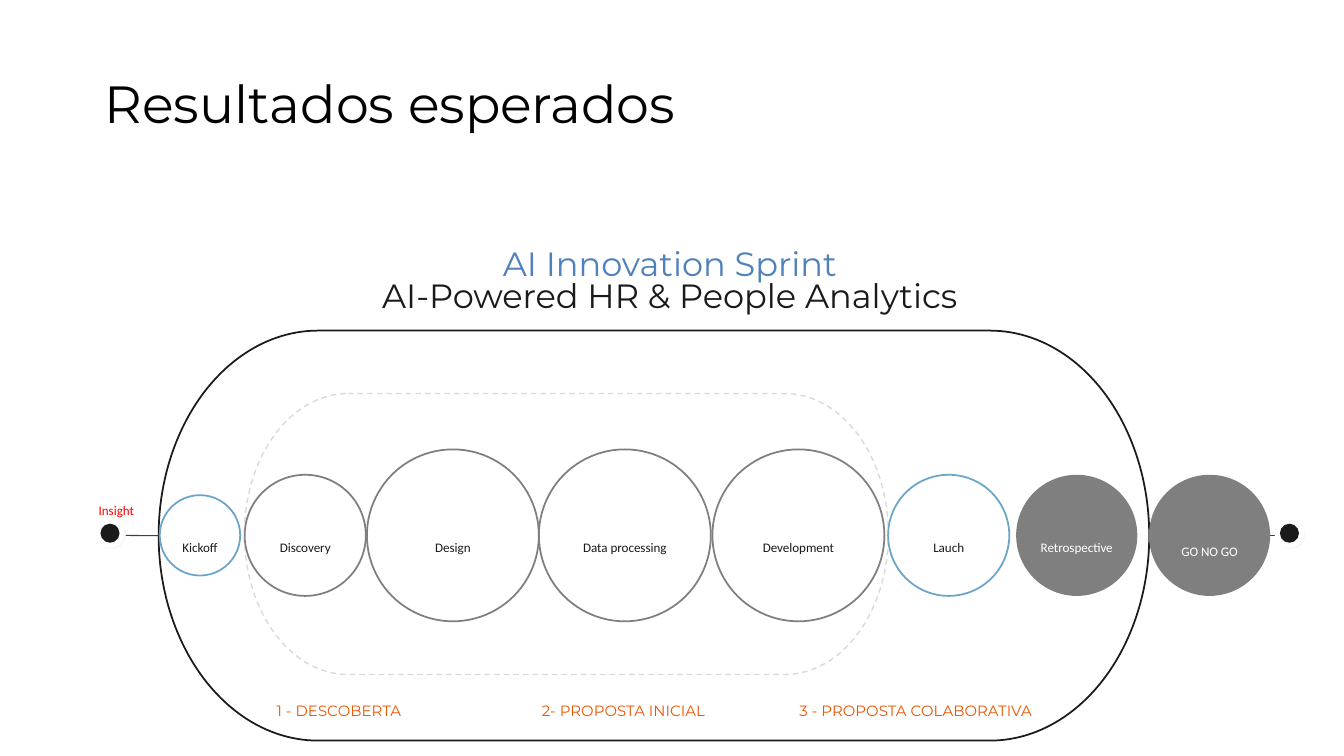
import pptx
import pptx.dml.color
import pptx.enum.dml
import pptx.enum.shapes
import pptx.enum.text
import pptx.oxml
import pptx.oxml.ns
import pptx.util

Cm = pptx.util.Cm
Pt = pptx.util.Pt
SHAPE = pptx.enum.shapes.MSO_SHAPE
ALIGN = pptx.enum.text.PP_ALIGN
FIT = pptx.enum.text.MSO_AUTO_SIZE
ANCHOR = pptx.enum.text.MSO_ANCHOR

INK, GREY, BLUE, ORANGE = "1A1A1A", "7F7F7F", "6AA4C8", "EB5600"
AXIS = 10.12  # height of the process line
LABEL_INSETS = (0.18, 0.1, 0.18, 0.1)
PHASE_INSETS = (0.25, 0.25, 0.25, 0.25)


def color(value):
    return pptx.dml.color.RGBColor.from_string(value)


class Slide:
    heading_font = "Montserrat"
    label_font = "Calibri"

    def __init__(self, deck):
        self.page = deck.slides.add_slide(deck.slide_layouts[5])

    def style(self, para, font, size, ink, align, spacing=None):
        para.alignment = align
        if spacing:
            para.line_spacing = spacing
        for span in para.runs:
            span.font.name = font
            span.font.size = Pt(size)
            span.font.color.rgb = color(ink)

    def frame(self, box, insets, fit=FIT.NONE, anchor=ANCHOR.TOP):
        frame = box.text_frame
        frame.word_wrap = True
        frame.auto_size = fit
        frame.vertical_anchor = anchor
        (frame.margin_left, frame.margin_top,
         frame.margin_right, frame.margin_bottom) = map(Cm, insets)
        return frame

    def title(self, text, left, top, width, height):
        box = self.page.shapes.title
        box.left, box.top, box.width, box.height = map(Cm, (left, top, width, height))
        frame = self.frame(box, PHASE_INSETS, anchor=ANCHOR.MIDDLE)
        frame.text = text
        self.style(frame.paragraphs[0], self.heading_font, 28, "000000", ALIGN.LEFT)

    def textbox(self, left, top, width, height, lines, font, size, insets,
                align=ALIGN.CENTER, spacing=1, fit=FIT.SHAPE_TO_FIT_TEXT):
        """Lines are pairs of text and colour."""
        box = self.page.shapes.add_textbox(*map(Cm, (left, top, width, height)))
        frame = self.frame(box, insets, fit)
        frame.text = "\n".join(text for text, ink in lines)
        for para, (text, ink) in zip(frame.paragraphs, lines):
            self.style(para, font, size, ink, align, spacing)

    def label(self, text, center, top, width, ink):
        self.textbox(center - width / 2, top, width, 0.48, [(text, ink)],
                     self.label_font, 7, LABEL_INSETS, spacing=2.18)

    def shape(self, kind, left, top, width, height, fill=None, line=None, weight=0.94):
        shape = self.page.shapes.add_shape(kind, *map(Cm, (left, top, width, height)))
        shape.shadow.inherit = False
        if fill:
            shape.fill.solid()
            shape.fill.fore_color.rgb = color(fill)
        else:
            shape.fill.background()
        if line:
            shape.line.color.rgb = color(line)
            shape.line.width = Pt(weight)
        else:
            shape.line.fill.background()
        return shape

    def circle(self, x, y, size, fill=None, line=None):
        return self.shape(SHAPE.OVAL, x - size / 2, y - size / 2, size, size, fill, line)

    def endpoint(self, x, y):
        self.circle(x + 0.02, y + 0.02, 0.56, fill="FBF4EF")
        self.circle(x, y, 0.56, fill="FFFFFF")
        self.circle(x, y, 0.36, fill=INK)

    def line(self, start, end, y):
        line = self.page.shapes.add_connector(
            pptx.enum.shapes.MSO_CONNECTOR.STRAIGHT, Cm(start), Cm(y), Cm(end), Cm(y))
        line.line.color.rgb = color("3F3F3F")
        line.line.width = Pt(0.56)
        properties = line._element.spPr
        properties.append(pptx.oxml.parse_xml(
            "<a:effectLst %s/>" % pptx.oxml.ns.nsdecls("a")))
        return line

    def dash(self, shape, opacity):
        shape.line.dash_style = pptx.enum.dml.MSO_LINE.DASH
        tint = shape.line._ln.find(".//" + pptx.oxml.ns.qn("a:srgbClr"))
        tint.append(pptx.oxml.parse_xml('<a:alpha %s val="%d"/>' % (
            pptx.oxml.ns.nsdecls("a"), opacity * 1000)))


def main():
    deck = pptx.Presentation()
    deck.slide_width, deck.slide_height = Cm(25.4), Cm(14.29)
    slide = Slide(deck)
    slide.title("Resultados esperados", 1.73, 1.14, 13.13, 1.6)

    # Process line and sprint outline
    slide.line(23.57, 24.54, AXIS)
    sprint = slide.shape(SHAPE.FLOWCHART_TERMINATOR, 3, 6.25, 18.72, 7.75, line=INK)
    slide.line(2.08, 3, AXIS).end_connect(sprint, 1)

    # Stages: name, centre, diameter, fill, outline, label width, label top
    stages = [
        ("Kickoff", 3.78, 1.52, None, BLUE, 1.45, 9.75),
        ("Discovery", 5.77, 2.29, None, GREY, 1.96, 9.75),
        ("Design", 8.56, 3.25, None, GREY, 1.5, 9.75),
        ("Data processing", 11.81, 3.25, None, GREY, 3.02, 9.75),
        ("Development", 15.09, 3.25, None, GREY, 3.02, 9.75),
        ("Lauch", 17.93, 2.29, None, BLUE, 1.4, 9.75),
        ("Retrospective", 20.35, 2.29, GREY, None, 2.72, 9.75),
        ("GO NO GO", 22.86, 2.29, GREY, None, 2.72, 9.83),
    ]
    for name, center, size, fill, outline, width, top in stages:
        slide.circle(center, AXIS, size, fill, outline)
        slide.label(name, center, top, width, "FFFFFF" if fill else INK)

    # Start and end points
    for x in (2.08, 24.37):
        slide.endpoint(x, 10.08)
    slide.label("Insight", 2.2, 9.04, 1.45, "FF0000")

    # Headline
    slide.textbox(0, 4.32, 25.32, 1.6,
                  [("AI Innovation Sprint", "4F81BD"),
                   ("AI-Powered HR & People Analytics", INK)],
                  slide.heading_font, 18, (0, 0.41, 0, 0), spacing=0.8, fit=FIT.NONE)

    # Inner loop and phases
    loop = slide.shape(SHAPE.FLOWCHART_TERMINATOR, 4.62, 7.44, 12.17, 5.31,
                       line="A5A5A5", weight=0.75)
    slide.dash(loop, 41)
    for text, left, width, align in [
        ("1 - DESCOBERTA", 4.98, 4.14, ALIGN.LEFT),
        ("2- PROPOSTA INICIAL", 9.5, 4.57, ALIGN.CENTER),
        ("3 - PROPOSTA COLABORATIVA", 14.86, 5.49, ALIGN.LEFT),
    ]:
        slide.textbox(left, 12.9, width, 0.86, [(text, ORANGE)], slide.heading_font, 8,
                      PHASE_INSETS, align, 1.38)

    deck.save("out.pptx")


if __name__ == "__main__":
    main()
